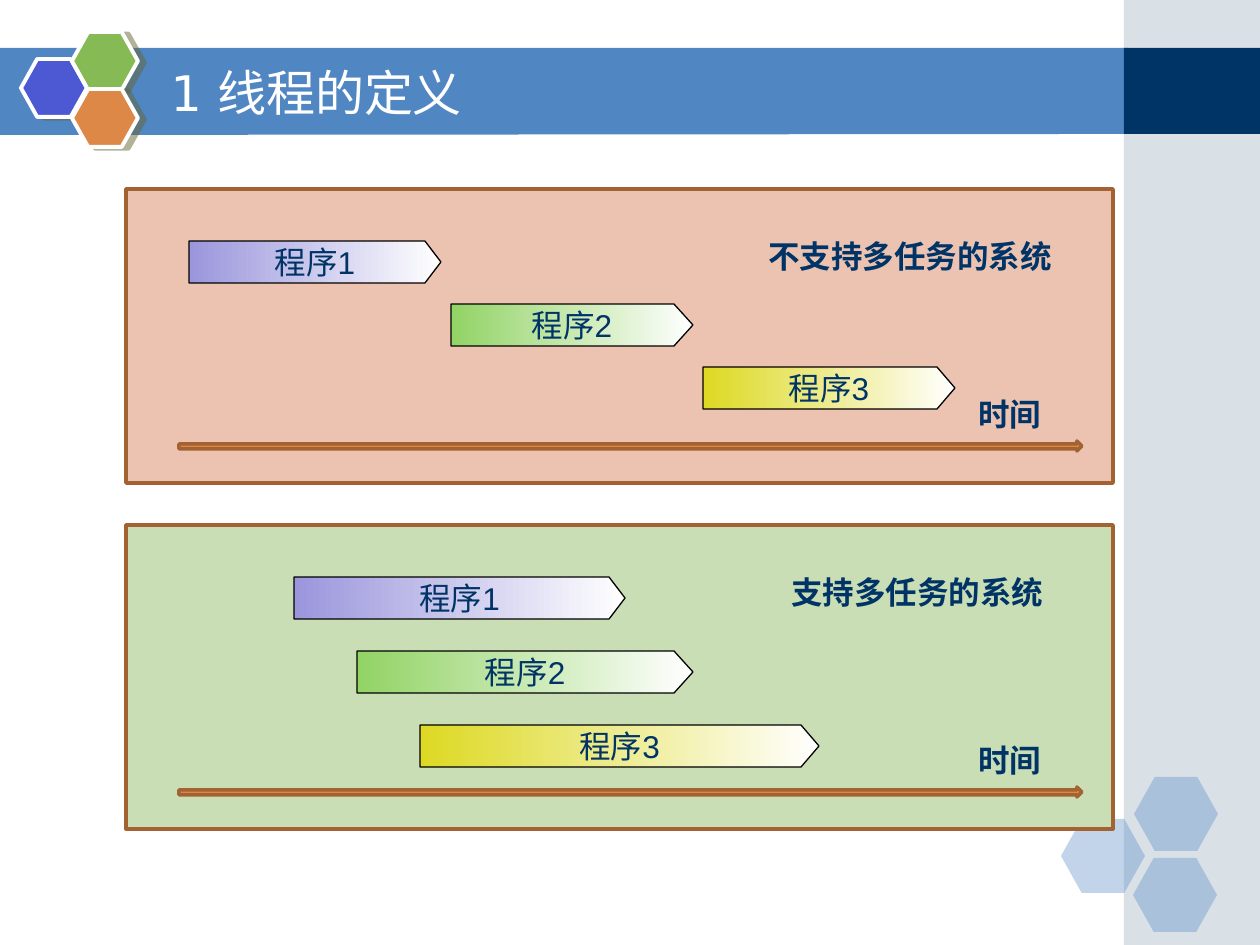
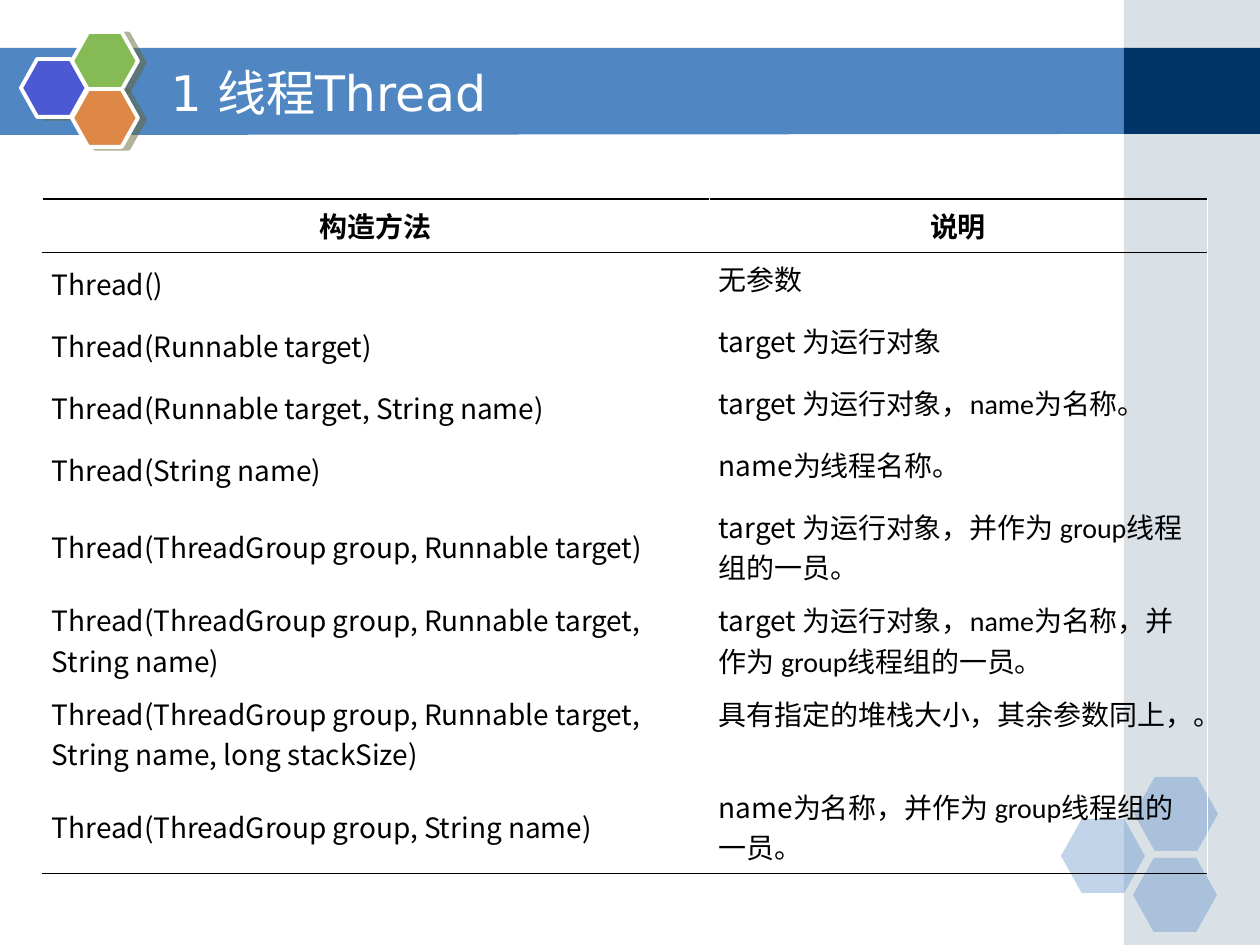
import dataclasses

import pptx
import pptx.dml.color
import pptx.enum.shapes
import pptx.enum.text
import pptx.oxml
import pptx.oxml.ns
import pptx.util

SCALE = 914400 / 126  # EMU in one px
SHAPE = pptx.enum.shapes.MSO_SHAPE
ALIGN = pptx.enum.text.PP_ALIGN
ANCHOR = pptx.enum.text.MSO_ANCHOR
NO_GRID_STYLE = "{2D5ABB26-0587-4C30-8999-92F81FD0307C}"


@dataclasses.dataclass(frozen=True)
class Theme:
    band: str = "5086C2"
    navy: str = "003366"
    side: str = "A0B5C4"
    white: str = "FFFFFF"
    black: str = "000000"
    indigo: str = "4C59D2"
    green: str = "85BA54"
    orange: str = "DE8848"
    brown: str = "A36232"
    shadow: str = "666633"
    pink_panel: str = "ECC3B1"
    green_panel: str = "C9DEB5"
    title_font: str = "DejaVu Sans"
    label_font: str = "Arial"
    table_font: str = "Calibri"
    cjk_font: str = "Noto Sans CJK SC"
    title_size: int = 28
    label_size: int = 18
    table_size: int = 16


T = Theme()

# name, colour, length of the pointed end
PROGRAMS = [("程序1", "9B96DC", 16), ("程序2", "92D365", 19), ("程序3", "DDD923", 18)]

CONSTRUCTORS = [
    ("Thread()", "", "无参数"),
    ("Thread(Runnable target)", "target ", "为运行对象"),
    ("Thread(Runnable target, String name)", "target ", "为运行对象，name为名称。"),
    ("Thread(String name)", "name", "为线程名称。"),
    ("Thread(ThreadGroup group, Runnable target)", "target ",
     "为运行对象，并作为 group线程组的一员。"),
    ("Thread(ThreadGroup group, Runnable target, String name)", "target ",
     "为运行对象，name为名称，并作为 group线程组的一员。"),
    ("Thread(ThreadGroup group, Runnable target, String name, long stackSize)", "",
     "具有指定的堆栈大小，其余参数同上，。"),
    ("Thread(ThreadGroup group, String name)", "name", "为名称，并作为 group线程组的一员。"),
]


def px(n):
    return pptx.util.Emu(round(n * SCALE))


def rgb(color):
    return pptx.dml.color.RGBColor.from_string(color)


def xml(tag, attrs="", inner=""):
    ns = pptx.oxml.ns.nsdecls("a")
    return pptx.oxml.parse_xml(f"<a:{tag} {ns} {attrs}>{inner}</a:{tag}>")


def write(tf, runs, *, size, font, color, bold=False, align=ALIGN.LEFT,
          anchor=None, wrap=None):
    """Fill the first paragraph; runs is a string or a list of (text, font)."""
    if anchor is not None:
        tf.vertical_anchor = anchor
    if wrap is not None:
        tf.word_wrap = wrap
    p = tf.paragraphs[0]
    p.alignment = align
    for text, face in [(runs, font)] if isinstance(runs, str) else runs:
        r = p.add_run()
        r.text = text
        r.font.size = pptx.util.Pt(size)
        r.font.bold = bold
        r.font.color.rgb = rgb(color)
        r.font.name = face
        r.font._element.find(pptx.oxml.ns.qn("a:latin")).addnext(
            xml("ea", f'typeface="{T.cjk_font}"'))


def paint(sp, fill, line=None, width=0, alpha=None):
    """Set a flat fill, or a left-to-right fade for a pair of colours, and the outline."""
    sp.shadow.inherit = False
    if isinstance(fill, tuple):
        sp.fill.gradient()
        sp.fill.gradient_angle = 0
        for stop, color in zip(sp.fill.gradient_stops, fill):
            stop.color.rgb = rgb(color)
    else:
        sp.fill.solid()
        sp.fill.fore_color.rgb = rgb(fill)
    if alpha:
        sp.element.spPr.find(".//" + pptx.oxml.ns.qn("a:srgbClr")).append(
            xml("alpha", f'val="{alpha * 1000}"'))
    if line:
        sp.line.color.rgb = rgb(line)
        sp.line.width = pptx.util.Pt(width)
    else:
        sp.line.fill.background()
    return sp


def preset(s, kind, box, fill, **look):
    sp = s.shapes.add_shape(kind, *map(px, box))
    return paint(sp, fill, **look)


def outline(s, points, fill, **look):
    fb = s.shapes.build_freeform(*points[0], scale=SCALE)
    fb.add_line_segments(points[1:], close=True)
    return paint(fb.convert_to_shape(), fill, **look)


def hexagon(s, box, fill, **look):
    sp = preset(s, SHAPE.HEXAGON, box, fill, **look)
    sp.adjustments[0] = 0.28
    return sp


def build_layout(s, layout):
    """Draw the common decoration on slide s, then move it into the layout."""
    before = len(s.shapes)
    outline(s, [(0, 48), (1128, 48), (1128, 134), (0, 135)], T.band)
    preset(s, SHAPE.RECTANGLE, (1124, 0, 136, 945), T.side, alpha=40)
    preset(s, SHAPE.RECTANGLE, (1124, 48, 136, 86), T.navy)
    for x, y in [(1061, 819), (1134, 777), (1133, 858)]:
        hexagon(s, (x, y, 84, 74), T.band, alpha=35)
    for x, y, color in [(21, 59, T.indigo), (72, 32, T.green), (72, 89, T.orange)]:
        sp = hexagon(s, (x, y, 66, 58), color, line=T.white, width=2.25)
        sp.element.spPr.find(pptx.oxml.ns.qn("a:effectLst")).append(xml(
            "outerShdw", 'blurRad="0" dist="52000" dir="840000" algn="ctr" rotWithShape="0"',
            f'<a:srgbClr val="{T.shadow}"><a:alpha val="50000"/></a:srgbClr>'))
    for i, sp in enumerate(list(s.shapes)[before:]):
        sp.element.nvSpPr.cNvPr.set("id", str(100 + i))
        layout.shapes.element.insert(2 + i, sp.element)
    title = layout.placeholders[0]
    title.left, title.top, title.width, title.height = map(px, (158, 53, 924, 78))


def set_title(s, text):
    tf = s.shapes.title.text_frame
    tf.auto_size = pptx.enum.text.MSO_AUTO_SIZE.NONE
    write(tf, text, size=T.title_size, font=T.title_font, color=T.white,
          anchor=ANCHOR.MIDDLE)


def label(s, box, text):
    tb = s.shapes.add_textbox(*map(px, box))
    write(tb.text_frame, text, size=T.label_size, font=T.label_font,
          color=T.navy, bold=True, wrap=True)


def program_bar(s, x, y, w, program, h=42):
    name, color, tip = program
    right, neck = x + w, x + w - tip
    sp = outline(s, [(x, y), (neck, y), (right, y + h // 2), (neck, y + h), (x, y + h)],
                 (color, T.white), line=T.black, width=0.75)
    write(sp.text_frame, name, size=T.label_size, font=T.label_font, color=T.navy,
          align=ALIGN.CENTER, anchor=ANCHOR.MIDDLE, wrap=False)


def time_axis(s, x, y, w):
    right, neck = x + w, x + w - 5
    outline(s, [(x, y + 3), (neck, y + 3), (neck, y), (right, y + 5), (neck, y + 10),
                (neck, y + 8), (x, y + 8)], T.orange, line=T.brown, width=2)


def timeline_panel(s, box, fill, caption, caption_span, bars, step):
    """A panel with staggered program bars; bars holds (left, width) inside the box."""
    x, y, w, h = box
    preset(s, SHAPE.RECTANGLE, box, fill, line=T.brown, width=2)
    for i, ((left, width), program) in enumerate(zip(bars, PROGRAMS)):
        program_bar(s, x + left, y + 52 + i * step, width, program)
    time_axis(s, x + 53, y + h - 42, 903)
    left, width = caption_span
    label(s, (x + left, y + 42, width, 50), caption)
    label(s, (x + 840, y + h - 94, 92, 50), "时间")


def set_borders(cell, **lines):
    """Each keyword L, R, T or B gives (colour, points); other sides have no line."""
    tcPr = cell._tc.get_or_add_tcPr()
    for side in "LRTB":
        color, width = lines.get(side, (None, 0))
        inner = (f'<a:solidFill><a:srgbClr val="{color}"/></a:solidFill>'
                 if color else "<a:noFill/>")
        tcPr.append(xml(f"ln{side}", f'w="{round(width * 12700)}"', inner))


def constructor_table(s, box, col_widths, row_heights):
    rows = len(row_heights)
    tbl = s.shapes.add_table(rows, 2, *map(px, box)).table
    tbl.first_row = tbl.horz_banding = False
    tbl._tbl.tblPr.find(pptx.oxml.ns.qn("a:tableStyleId")).text = NO_GRID_STYLE
    for col, w in zip(tbl.columns, col_widths):
        col.width = px(w)
    for row, h in zip(tbl.rows, row_heights):
        row.height = px(h)

    thin, thick = (T.black, 0.45), (T.black, 0.75)
    edges = {0: {"T": thick, "B": thin}, 1: {"T": thin}, rows - 1: {"B": thick}}
    content = [("构造方法", "说明")]
    for signature, lead, note in CONSTRUCTORS:
        runs = [(lead, T.cjk_font)] if lead else []
        content.append(([(signature, T.cjk_font)], runs + [(note, T.table_font)]))
    for i, texts in enumerate(content):
        for j, runs in enumerate(texts):
            cell = tbl.cell(i, j)
            cell.margin_left = cell.margin_right = px(10)
            if i and j == 0:
                cell.vertical_anchor = ANCHOR.MIDDLE
            set_borders(cell, L=(T.white, 0.45), R=(T.white, 0.45), **edges.get(i, {}))
            cell.fill.background()
            write(cell.text_frame, runs, size=T.table_size, font=T.table_font,
                  color=T.black, bold=i == 0, align=ALIGN.LEFT if i else ALIGN.CENTER)


def definition_slide(s):
    set_title(s, "1 线程的定义")
    timeline_panel(s, (126, 189, 987, 294), T.pink_panel, "不支持多任务的系统", (630, 335),
                   [(63, 252), (325, 242), (577, 252)], step=63)
    timeline_panel(s, (126, 525, 987, 304), T.green_panel, "支持多任务的系统", (653, 284),
                   [(168, 331), (231, 336), (294, 399)], step=74)


def thread_slide(s):
    set_title(s, "1 线程Thread")
    constructor_table(s, (42, 199, 1165, 673), (667, 498), [53] + [62] * 4 + [93] * 4)


def main():
    prs = pptx.Presentation()
    prs.slide_width, prs.slide_height = px(1260), px(945)
    layout = prs.slide_layouts.get_by_name("Title Only")
    first, second = (prs.slides.add_slide(layout) for _ in range(2))
    build_layout(first, layout)
    definition_slide(first)
    thread_slide(second)
    prs.save("out.pptx")


if __name__ == "__main__":
    main()
